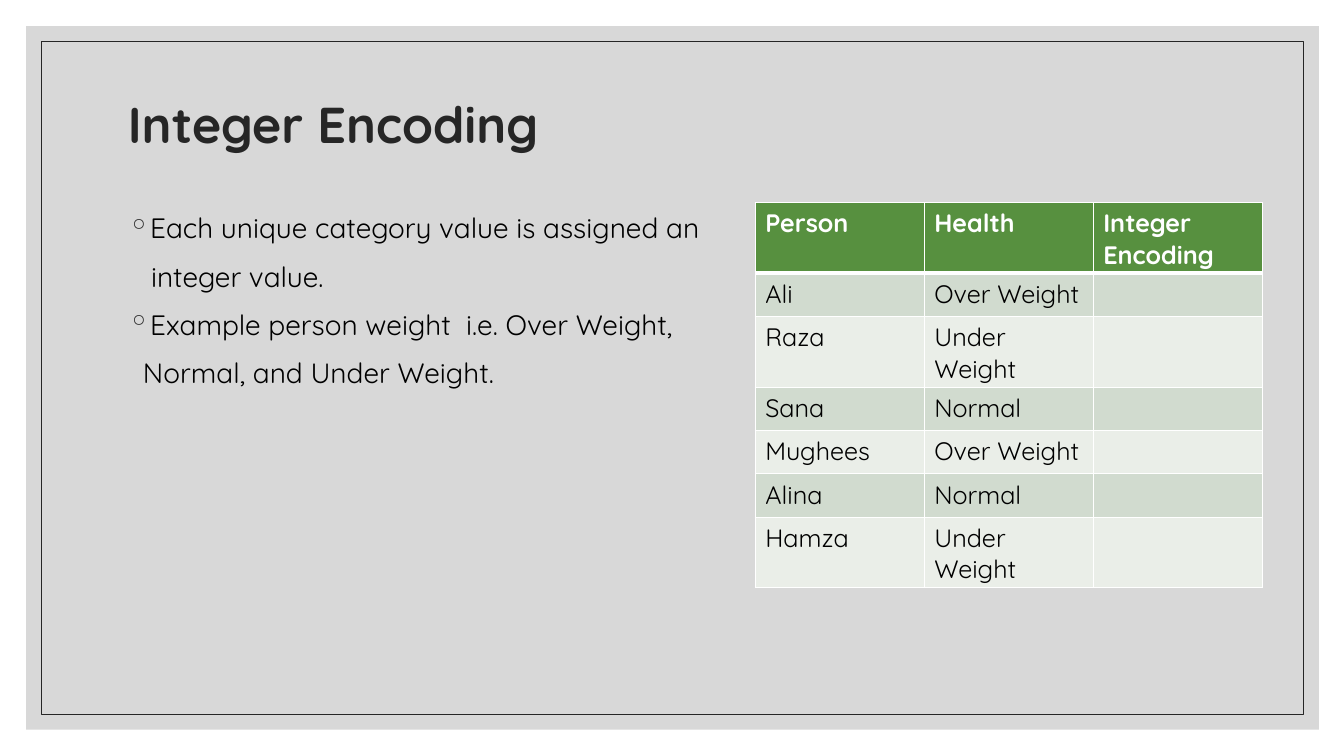
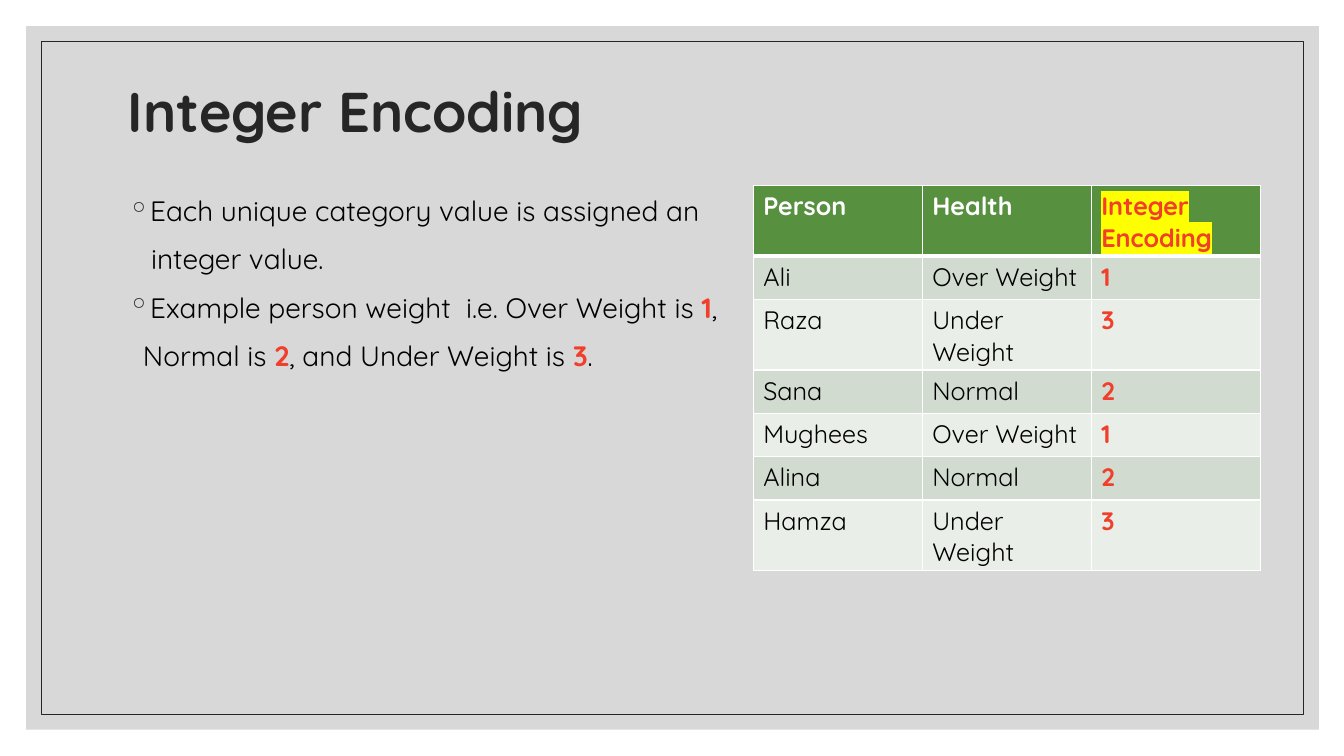
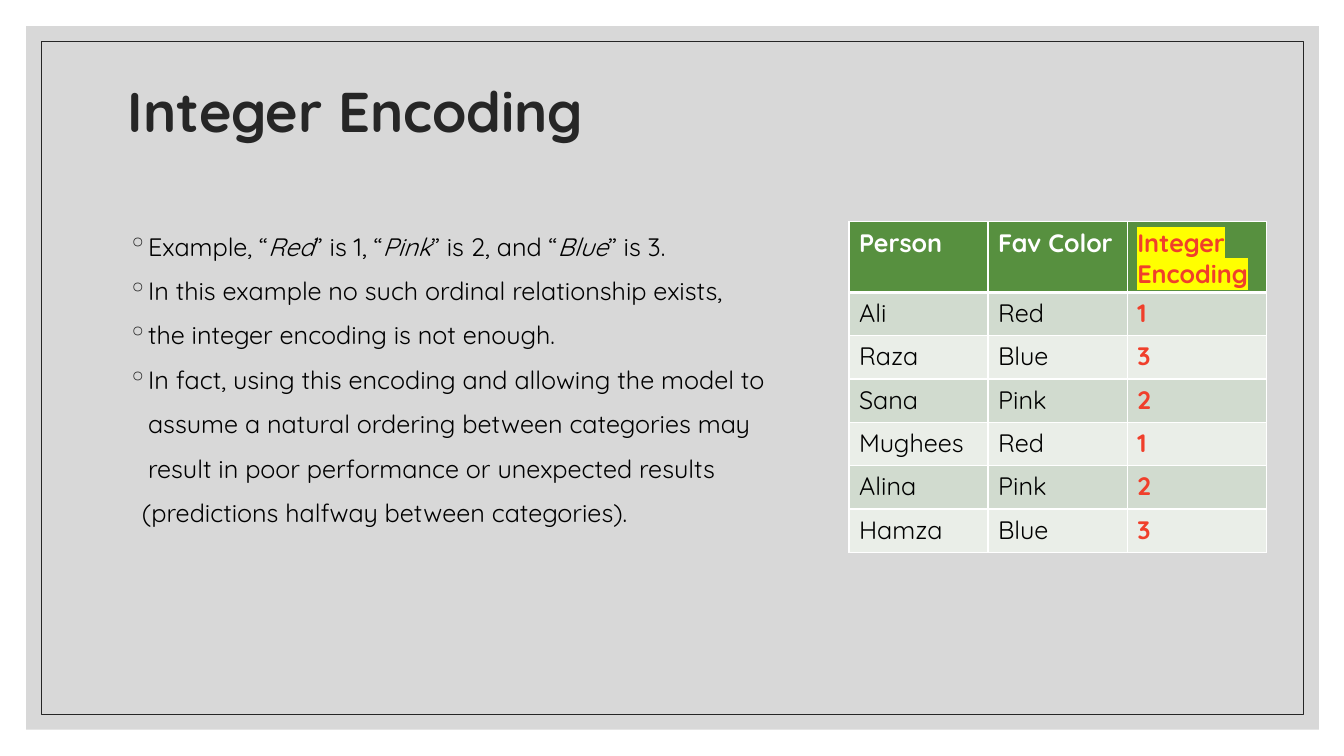
from dataclasses import dataclass
from lxml.etree import SubElement
from pptx import Presentation
from pptx.dml.color import RGBColor
from pptx.enum.shapes import MSO_SHAPE as Preset
from pptx.enum.text import MSO_ANCHOR as Anchor
from pptx.oxml.ns import qn
from pptx.util import Inches, Pt


@dataclass(frozen=True)
class Theme:
    font: str = "Quicksand"
    ink: str = "262626"
    text: str = "000000"
    panel: str = "BFBFBF"
    panel_alpha: int = 60000
    accent: str = "F03F2B"
    highlight: str = "FFFF00"
    white: str = "FFFFFF"
    header: str = "57903F"
    bands: tuple = ("D1DBCF", "EAEEE8")
    table_size: int = 18
    frame_line: float = 0.5
    thin: int = 1
    thick: int = 3


THEME = Theme()
TITLE = "Integer Encoding"
BULLET = "bullet"
MARK = dict(color=THEME.accent, bold=True)
ITALIC = dict(italic=True)
PEOPLE = ["Ali", "Raza", "Sana", "Mughees", "Alina", "Hamza"]
WEIGHTS = ["Over Weight", "Under Weight", "Normal", "Over Weight", "Normal", "Under Weight"]
COLORS = ["Red", "Blue", "Pink", "Red", "Pink", "Blue"]
CODES = ["1", "3", "2", "1", "2", "3"]
NO_CODES = [""] * len(PEOPLE)
LOW_TITLE = dict(at=(1.17, 1.13, 11, 0.82), size=36)
HIGH_TITLE = dict(at=(1.17, 0.7, 11, 1.5), size=40)
ASSIGNED = [
    (BULLET, ["Each unique category value is assigned an"]),
    (0.23, ["integer value."]),
]

SLIDES = [
    dict(
        title=LOW_TITLE,
        body=dict(at=(1.17, 2.01, 11, 4.5), size=20, inset=0.05),
        lines=ASSIGNED + [
            (BULLET, ["Example person weight  i.e. Over Weight,"]),
            (0.15, ["Normal, and Under Weight."]),
        ],
        table=dict(at=(7.49, 2.01), width=5.03, topic="Health", values=WEIGHTS, codes=NO_CODES),
    ),
    dict(
        title=HIGH_TITLE,
        body=dict(at=(1.17, 1.84, 11, 4.21), size=20, inset=0.05),
        lines=ASSIGNED + [
            (BULLET, ["Example person weight  i.e. Over Weight is ", ("1", MARK), ","]),
            (0.15, ["Normal is ", ("2", MARK), ", and Under Weight is ", ("3", MARK), "."]),
        ],
        table=dict(at=(7.47, 1.84), width=5.03, topic="Health", values=WEIGHTS, codes=CODES),
    ),
    dict(
        title=HIGH_TITLE,
        body=dict(at=(1.17, 1.84, 11, 4.21), size=18, inset=0.42),
        lines=[
            (BULLET, ["Example, “", ("Red", ITALIC), "” is 1, “", ("Pink", ITALIC),
                      "” is 2, and “", ("Blue", ITALIC), "” is 3."]),
            (BULLET, ["In this example no such ordinal relationship exists,"]),
            (BULLET, ["the integer encoding is not enough."]),
            (BULLET, ["In fact, using this encoding and allowing the model to"]),
            (0.2, ["assume a natural ordering between categories may"]),
            (0.2, ["result in poor performance or unexpected results"]),
            (0.14, ["(predictions halfway between categories)."]),
        ],
        table=dict(at=(8.42, 2.2), width=4.14, topic="Fav Color", values=COLORS, codes=CODES),
    ),
]

ROW_HEIGHT = 0.43
BULLET_INDENT = 0.2
LINE_GAP = 8


def rgb(color):
    return RGBColor.from_string(color)


def inches(lengths):
    return [Inches(length) for length in lengths]


def add_text(para, text, size, color=THEME.text, bold=False, italic=False, highlight=None):
    span = para.add_run()
    span.text = text
    font = span.font
    font.size, font.bold, font.italic = Pt(size), bold, italic
    font.color.rgb = rgb(color)
    font.name = THEME.font
    if highlight:
        marker = SubElement(font._element, qn("a:highlight"))
        SubElement(marker, qn("a:srgbClr"), val=highlight)
        font._element.find(qn("a:solidFill")).addnext(marker)


def set_indent(para, indent):
    props = para._p.get_or_add_pPr()
    if indent != BULLET:
        props.set("marL", str(Inches(indent)))
        props.set("indent", "0")
        return
    props.set("marL", str(Inches(BULLET_INDENT)))
    props.set("indent", str(-Inches(BULLET_INDENT)))
    tint = SubElement(props, qn("a:buClr"))
    SubElement(tint, qn("a:srgbClr"), val=THEME.ink)
    SubElement(props, qn("a:buChar"), char="◦")


def add_frame(page):
    panel = page.shapes.add_shape(Preset.RECTANGLE, *inches((0.26, 0.26, 12.82, 6.98)))
    panel.fill.solid()
    panel.fill.fore_color.rgb = rgb(THEME.panel)
    tint = panel._element.spPr.find(qn("a:solidFill"))[0]
    SubElement(tint, qn("a:alpha"), val=str(THEME.panel_alpha))
    panel.line.fill.background()
    border = page.shapes.add_shape(Preset.RECTANGLE, *inches((0.41, 0.41, 12.52, 6.68)))
    border.fill.background()
    border.line.color.rgb = rgb(THEME.ink)
    border.line.width = Pt(THEME.frame_line)
    for box in (panel, border):
        box.shadow.inherit = False


def add_title(page, at, size):
    frame = page.shapes.add_textbox(*inches(at)).text_frame
    frame.word_wrap = True
    frame.vertical_anchor = Anchor.MIDDLE
    line_height = size * 1.25 * 0.9
    frame.margin_bottom = Inches(0.05) + Pt(line_height)
    para = frame.paragraphs[0]
    para.line_spacing = 0.9
    add_text(para, TITLE, size, color=THEME.ink, bold=True)


def add_body(page, lines, at, size, inset):
    frame = page.shapes.add_textbox(*inches(at)).text_frame
    frame.word_wrap = True
    frame.margin_top = Inches(inset)
    for index, (indent, spans) in enumerate(lines):
        para = frame.add_paragraph() if index else frame.paragraphs[0]
        para.line_spacing = 1.1
        para.space_before = Pt(LINE_GAP if index else 0)
        set_indent(para, indent)
        for span in spans:
            text, style = (span, {}) if isinstance(span, str) else span
            add_text(para, text, size, **style)


def set_borders(cell, top, bottom):
    props = cell._tc.get_or_add_tcPr()
    widths = dict(lnL=THEME.thin, lnR=THEME.thin, lnT=top, lnB=bottom)
    for index, (side, width) in enumerate(widths.items()):
        line = SubElement(props, qn("a:" + side), w=str(Pt(width)))
        SubElement(SubElement(line, qn("a:solidFill")), qn("a:srgbClr"), val=THEME.white)
        props.insert(index, line)


def cell_style(row, column, coded):
    if column == 2 and coded:
        return dict(MARK, highlight=None if row else THEME.highlight)
    return {} if row else dict(color=THEME.white, bold=True)


def add_grid(page, at, width, topic, values, codes):
    rows = [("Person", topic, "Integer Encoding"), *zip(PEOPLE, values, codes)]
    columns = len(rows[0])
    size = (width, ROW_HEIGHT * len(rows))
    table = page.shapes.add_table(len(rows), columns, *inches(at + size)).table
    for column in table.columns:
        column.width = Inches(width / columns)
    for r, row in enumerate(rows):
        table.rows[r].height = Inches(ROW_HEIGHT)
        for c, text in enumerate(row):
            cell = table.cell(r, c)
            cell.fill.solid()
            cell.fill.fore_color.rgb = rgb(THEME.bands[(r - 1) % 2] if r else THEME.header)
            set_borders(cell, THEME.thick if r == 1 else THEME.thin,
                        THEME.thin if r else THEME.thick)
            if text:
                add_text(cell.text_frame.paragraphs[0], text, THEME.table_size,
                         **cell_style(r, c, any(codes)))


deck = Presentation()
deck.slide_width, deck.slide_height = inches((13.33, 7.5))
for content in SLIDES:
    page = deck.slides.add_slide(deck.slide_layouts[6])
    add_frame(page)
    add_title(page, **content["title"])
    add_body(page, content["lines"], **content["body"])
    add_grid(page, **content["table"])
deck.save("out.pptx")
